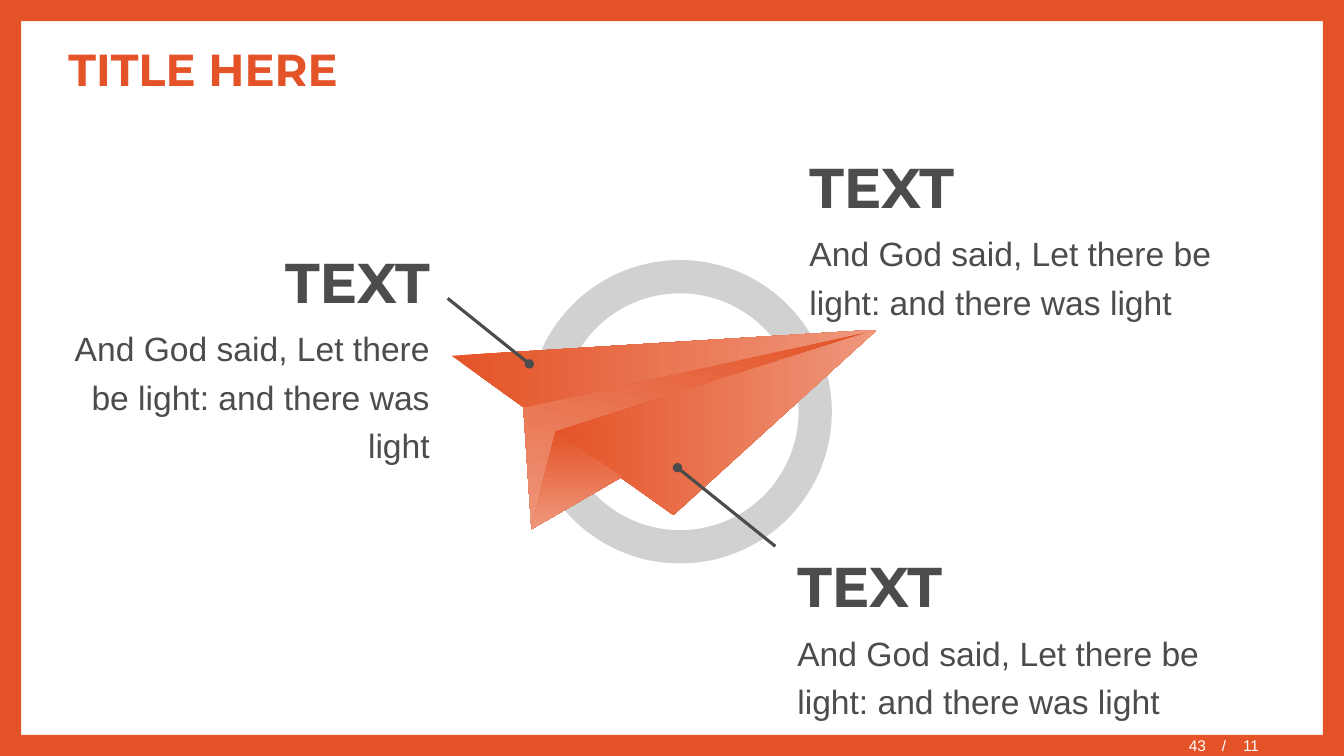
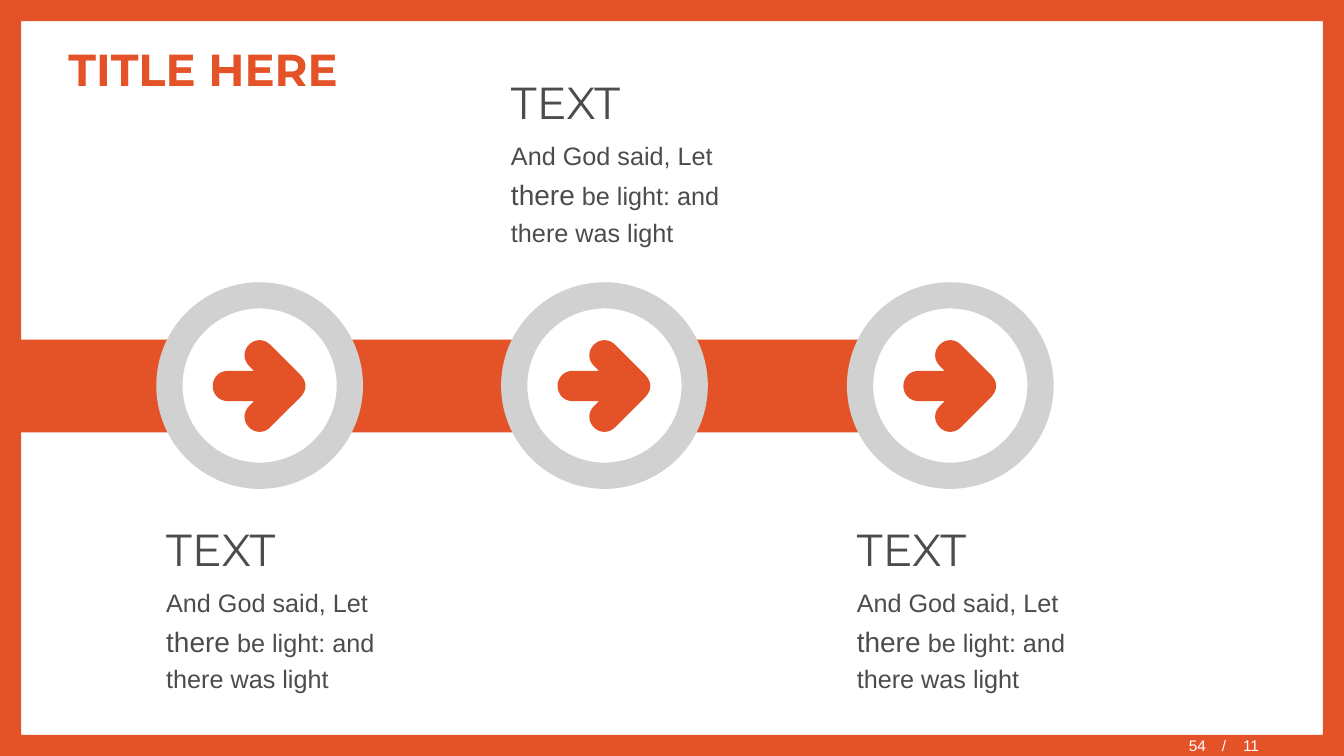
from dataclasses import dataclass
from typing import NamedTuple

from lxml import etree
from pptx import Presentation
from pptx.dml.color import RGBColor
from pptx.enum.shapes import MSO_CONNECTOR, MSO_SHAPE as Preset
from pptx.enum.text import MSO_ANCHOR as Anchor, MSO_AUTO_SIZE as AutoSize, PP_ALIGN as Align
from pptx.oxml.ns import qn
from pptx.util import Inches, Pt

ORANGE = RGBColor(0xE4, 0x53, 0x27)
LIGHT_ORANGE = RGBColor(0xEF, 0x98, 0x7D)
GREY = RGBColor(0xD1, 0xD1, 0xD1)
DARK = RGBColor(0x4C, 0x4C, 0x4C)
WHITE = RGBColor(0xFF, 0xFF, 0xFF)
HEADING_FONT = "Montserrat"
BODY_FONT = "Arial"
SLIDE_WIDTH, SLIDE_HEIGHT = 13.33, 7.5
FRAME_THICKNESS = 0.21


class Point(NamedTuple):
    x: float
    y: float


class Box(NamedTuple):
    left: float
    top: float
    width: float
    height: float


@dataclass(frozen=True)
class Phrase:
    text: str
    size: int


@dataclass(frozen=True)
class CaptionStyle:
    heading_size: int
    heading_bold: bool
    body: tuple[Phrase, ...]


@dataclass(frozen=True)
class Caption:
    box: Box
    align: Align = Align.LEFT


@dataclass(frozen=True)
class Facet:
    """One shaded face of the paper plane; the angle runs clockwise."""
    corners: tuple[Point, ...]
    angle: int


@dataclass(frozen=True)
class Pointer:
    start: Point
    dot: Point


PLANE_STYLE = CaptionStyle(40, True, (
    Phrase("And God said, Let there be light: and there was light", 24),))
PLANE_CAPTIONS = (
    Caption(Box(0.58, 2.27, 3.78, 2.42), Align.RIGHT),
    Caption(Box(7.93, 1.33, 4.83, 1.93)),
    Caption(Box(7.81, 5.29, 4.95, 1.93)),
)
NOSE = Point(8.7, 3.27)
FOLD = Point(5.19, 4.04)
KEEL = Point(5.27, 5.25)
INNER_FOLD = Point(5.51, 4.28)
FACETS = (
    Facet((FOLD, KEEL, NOSE), 100),
    Facet((INNER_FOLD, Point(6.68, 5.11), NOSE), 0),
    Facet((Point(4.48, 3.53), FOLD, NOSE), 0),
    Facet((KEEL, INNER_FOLD, Point(6.17, 4.73)), 90),
)
POINTERS = (
    Pointer(Point(4.44, 2.96), Point(5.25, 3.61)),
    Pointer(Point(7.69, 5.42), Point(6.72, 4.64)),
)

STEP_STYLE = CaptionStyle(32, False, (
    Phrase("And God said, Let ", 18),
    Phrase("there", 20),
    Phrase(" be light: and there was light", 18),
))
STEP_LEFTS = (8.4, 4.97, 1.55)
STEP_CAPTION_TOPS = {8.4: 5.02, 1.55: 5.02, 4.97: 0.59}
STEP_RING_TOP, STEP_RING_SIZE = 2.8, 2.05
STEP_MIDDLE = 3.83

# From the tip around: one point is a straight edge, three are a cubic curve
ARROW_TIP = Point(0.92, 0)
ARROW_EDGES = (
    (Point(0.92, 0.04), Point(0.9, 0.08), Point(0.87, 0.11)),
    (Point(0.57, 0.41),),
    (Point(0.51, 0.47), Point(0.42, 0.47), Point(0.36, 0.41)),
    (Point(0.3, 0.35), Point(0.3, 0.26), Point(0.36, 0.2)),
    (Point(0.41, 0.15),),
    (Point(0.15, 0.15),),
    (Point(0.06, 0.15), Point(0, 0.08), Point(0, 0)),
    (Point(0, -0.08), Point(0.06, -0.15), Point(0.15, -0.15)),
    (Point(0.41, -0.15),),
    (Point(0.36, -0.2),),
    (Point(0.3, -0.26), Point(0.3, -0.35), Point(0.36, -0.41)),
    (Point(0.42, -0.47), Point(0.51, -0.47), Point(0.57, -0.41)),
    (Point(0.87, -0.11),),
    (Point(0.9, -0.08), Point(0.92, -0.04), ARROW_TIP),
)


def add_preset(shapes, preset: Preset, box: Box, color: RGBColor):
    shape = shapes.add_shape(preset, *map(Inches, box))
    shape.shadow.inherit = False
    shape.fill.solid()
    shape.fill.fore_color.rgb = color
    shape.line.fill.background()
    return shape


def add_ring(shapes, left: float, top: float, size: float, thickness: float) -> None:
    ring = add_preset(shapes, Preset.DONUT, Box(left, top, size, size), GREY)
    ring.adjustments[0] = thickness / size


def add_outline(shapes, points: list[Point]):
    corners = [(Inches(p.x), Inches(p.y)) for p in points]
    builder = shapes.build_freeform(*corners[0], scale=1.0)
    builder.add_line_segments(corners[1:], close=True)
    outline = builder.convert_to_shape()
    outline.shadow.inherit = False
    outline.line.fill.background()
    return outline


def style_run(run, size: int, color: RGBColor, font_name: str = BODY_FONT,
              bold: bool = False) -> None:
    run.font.name = font_name
    run.font.size = Pt(size)
    run.font.bold = bold
    run.font.color.rgb = color


def add_text_frame(slide, box: Box, anchor: Anchor = Anchor.TOP):
    frame = slide.shapes.add_textbox(*map(Inches, box)).text_frame
    frame.word_wrap = True
    frame.vertical_anchor = anchor
    return frame


def add_caption(slide, caption: Caption, style: CaptionStyle) -> None:
    frame = add_text_frame(slide, caption.box)
    frame.auto_size = AutoSize.SHAPE_TO_FIT_TEXT
    frame.text = "TEXT"
    heading = frame.paragraphs[0]
    style_run(heading.runs[0], style.heading_size, DARK, HEADING_FONT, style.heading_bold)
    body = frame.add_paragraph()
    for phrase in style.body:
        run = body.add_run()
        run.text = phrase.text
        style_run(run, phrase.size, DARK)
    for paragraph in (heading, body):
        paragraph.alignment = caption.align
        paragraph.line_spacing = 1.2
        paragraph.space_before = paragraph.space_after = Pt(2)


def add_footer(slide, number: int) -> None:
    total = add_text_frame(slide, Box(12.02, 7.3, 1.31, 0.18), Anchor.MIDDLE)
    total.text = "/\t11"
    tabs = etree.SubElement(total.paragraphs[0]._p.get_or_add_pPr(), qn("a:tabLst"))
    etree.SubElement(tabs, qn("a:tab"), pos=str(Inches(0.21)), algn="l")

    current = add_text_frame(slide, Box(9.47, 7.33, 2.59, 0.18), Anchor.MIDDLE)
    current.margin_top = 0
    current.text = str(number)
    current.paragraphs[0].alignment = Align.RIGHT
    for frame in (total, current):
        style_run(frame.paragraphs[0].runs[0], 11, WHITE)


def add_framed_slide(prs):
    """Add a slide with the shared border and title."""
    slide = prs.slides.add_slide(prs.slide_layouts[6])
    border = add_preset(slide.shapes, Preset.FRAME,
                        Box(0, 0, SLIDE_WIDTH, SLIDE_HEIGHT), ORANGE)
    border.adjustments[0] = FRAME_THICKNESS / SLIDE_HEIGHT
    title = add_text_frame(slide, Box(0.58, 0.29, 12.18, 0.79), Anchor.MIDDLE)
    title.text = "TITLE HERE"
    style_run(title.paragraphs[0].runs[0], 32, ORANGE, HEADING_FONT, True)
    return slide


def add_facet(shapes, facet: Facet) -> None:
    face = add_outline(shapes, list(facet.corners))
    face.fill.gradient()
    face.fill.gradient_angle = (360 - facet.angle) % 360
    for stop, color in zip(face.fill.gradient_stops, (ORANGE, LIGHT_ORANGE)):
        stop.color.rgb = color


def add_pointer(slide, pointer: Pointer) -> None:
    line = slide.shapes.add_connector(
        MSO_CONNECTOR.STRAIGHT, *map(Inches, (*pointer.start, *pointer.dot)))
    line.line.color.rgb = DARK
    line.line.width = Pt(2.25)
    etree.SubElement(line.line._get_or_add_ln(), qn("a:tailEnd"), type="oval")
    etree.SubElement(line._element.spPr, qn("a:effectLst"))


def add_arrow(shapes, left: float) -> None:
    """Outline the arrow through its control points, then bend the curved edges."""
    points = [ARROW_TIP] + [point for edge in ARROW_EDGES for point in edge]
    arrow = add_outline(shapes, [Point(left + p.x, STEP_MIDDLE + p.y) for p in points])
    arrow.fill.solid()
    arrow.fill.fore_color.rgb = ORANGE
    segments = iter(list(arrow._element.iter(qn("a:lnTo"))))
    for edge in ARROW_EDGES:
        first, *others = [next(segments) for _ in edge]
        if others:
            first.tag = qn("a:cubicBezTo")
        for other in others:
            first.append(other[0])
            other.getparent().remove(other)


def build_plane_slide(prs) -> None:
    slide = add_framed_slide(prs)
    plane = slide.shapes.add_group_shape().shapes
    add_ring(plane, 5.24, 2.58, 3.01, 0.33)
    for facet in FACETS:
        add_facet(plane, facet)
    for caption in PLANE_CAPTIONS:
        add_caption(slide, caption, PLANE_STYLE)
    for pointer in POINTERS:
        add_pointer(slide, pointer)
    add_footer(slide, 43)


def build_steps_slide(prs) -> None:
    slide = add_framed_slide(prs)
    for left in STEP_LEFTS:
        add_preset(slide.shapes, Preset.RECTANGLE,
                   Box(left - 1.53, 3.37, 1.71, 0.92), ORANGE)
        add_ring(slide.shapes, left, STEP_RING_TOP, STEP_RING_SIZE, 0.26)
    for left, top in STEP_CAPTION_TOPS.items():
        add_caption(slide, Caption(Box(left, top, 2.86, 1.93)), STEP_STYLE)
    for left in reversed(STEP_LEFTS):
        add_arrow(slide.shapes, left + 0.56)
    add_footer(slide, 54)


def main() -> None:
    prs = Presentation()
    prs.slide_width = Inches(SLIDE_WIDTH)
    prs.slide_height = Inches(SLIDE_HEIGHT)
    build_plane_slide(prs)
    build_steps_slide(prs)
    prs.save("out.pptx")


if __name__ == "__main__":
    main()
